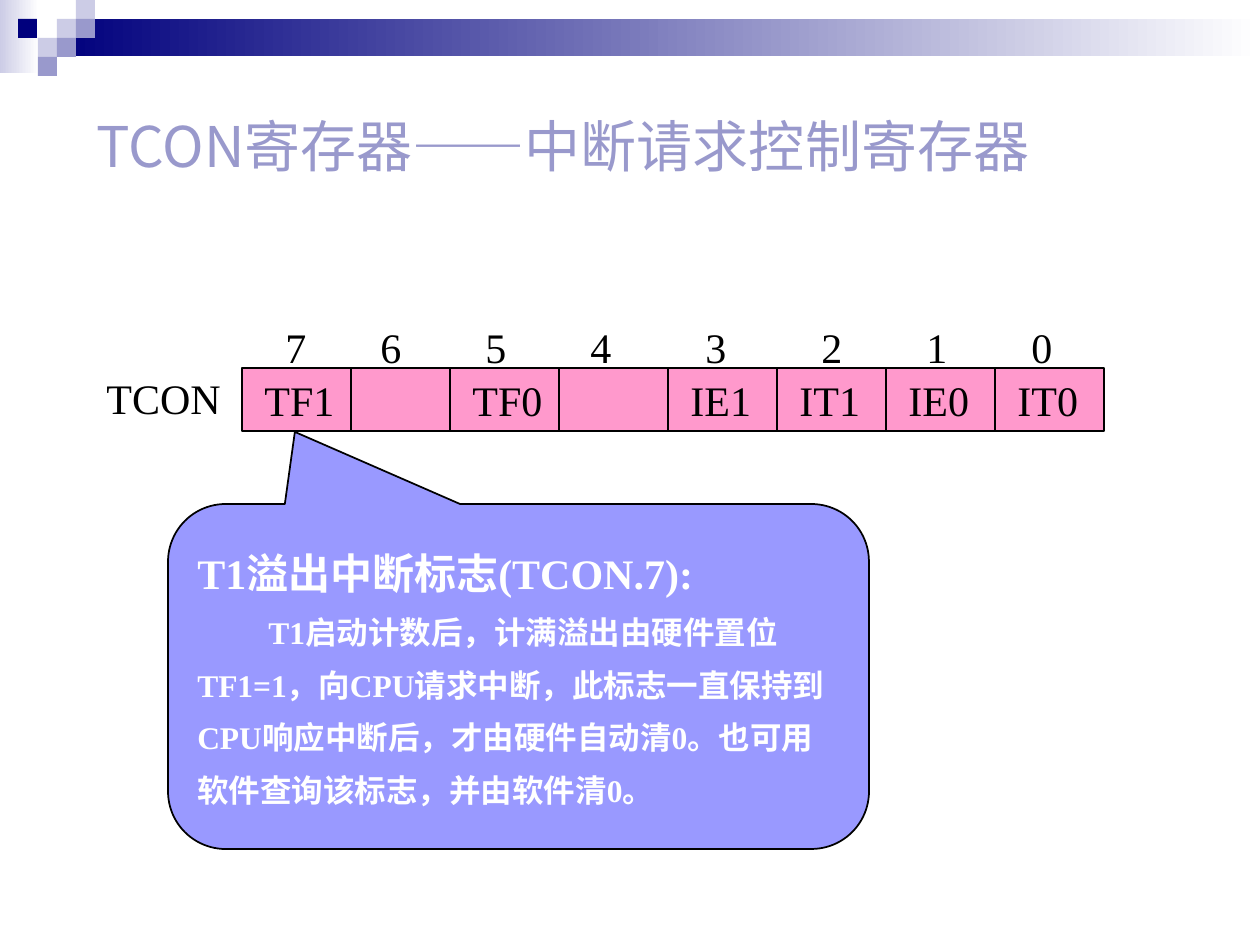
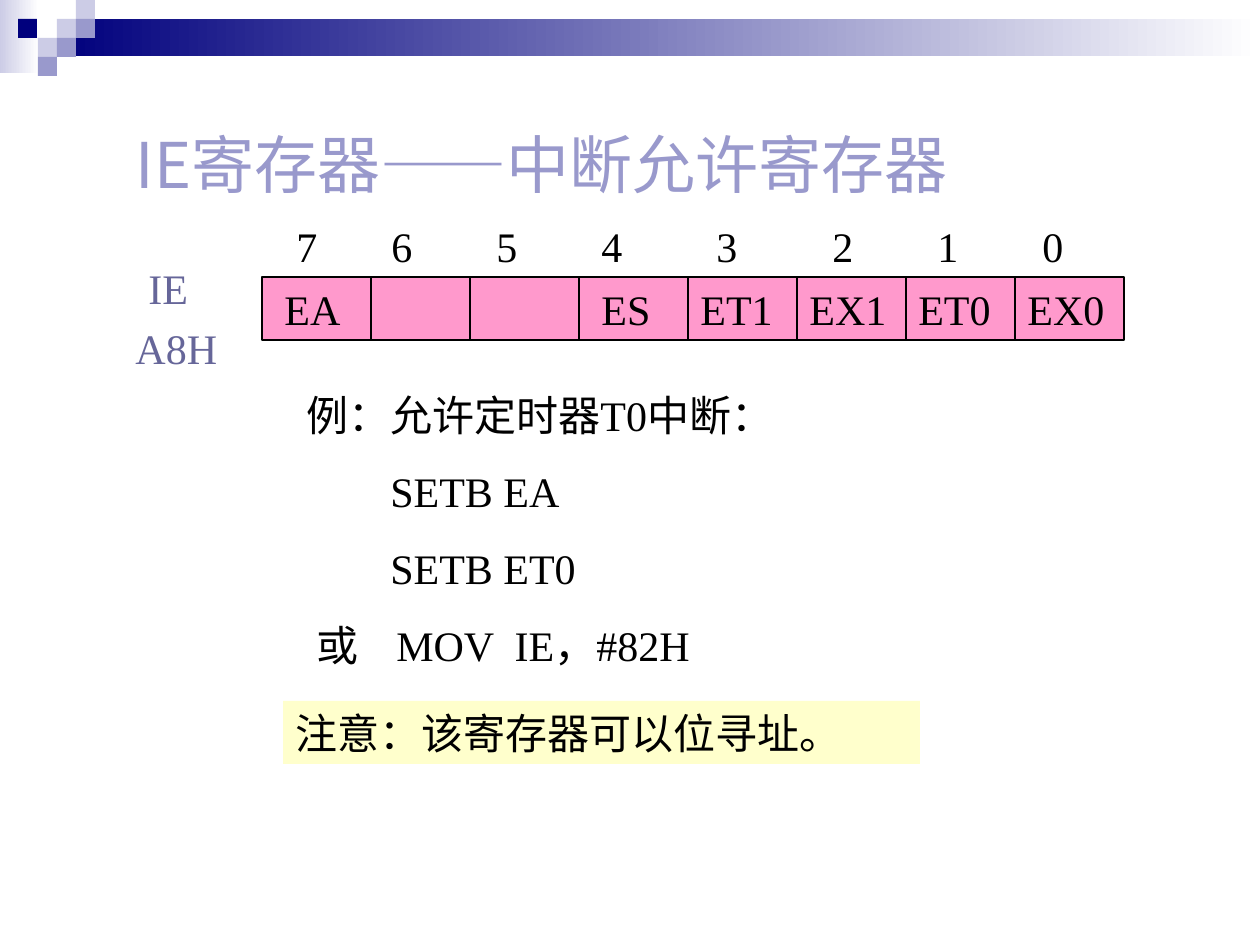
from pptx import Presentation
from pptx.dml.color import RGBColor
from pptx.enum.shapes import MSO_SHAPE
from pptx.enum.text import MSO_ANCHOR, MSO_AUTO_SIZE, PP_ALIGN
from pptx.util import Emu, Pt
from lxml.etree import SubElement

SCALE = 914400 // 126
NAMESPACE = "{http://schemas.openxmlformats.org/drawingml/2006/main}"
LATIN = "Times New Roman"
CHINESE = "Noto Sans CJK SC"
BLACK, WHITE, NAVY = "000000", "FFFFFF", "00007D"
LAVENDER, PALE, SLATE = "9999CC", "CCCCE6", "666699"
PINK, PERIWINKLE, CREAM = "FF99CC", "9999FF", "FFFFCC"
CELL_WIDTH, CELL_HEIGHT, NARROWER = 109, 63, 10
DIGIT_OFFSETS = (0, 95, 200, 305, 420, 536, 641, 746)


def px(length):
    return Emu(length * SCALE)


def colour(value):
    return RGBColor.from_string(value)


class Board:
    def __init__(self, deck):
        self.deck = deck
        self.page = None

    def new_page(self):
        self.page = self.deck.slides.add_slide(self.deck.slide_layouts[5])

    def frame(self, box, anchor=MSO_ANCHOR.TOP):
        frame = box.text_frame
        frame.word_wrap = True
        frame.auto_size = MSO_AUTO_SIZE.NONE
        frame.vertical_anchor = anchor
        frame.margin_left = frame.margin_right = Pt(7.2)
        frame.margin_top = frame.margin_bottom = Pt(3.6)
        return frame

    def span(self, para, text, size=24, ink=BLACK, bold=False, font=LATIN):
        span = para.add_run()
        span.text = text
        span.font.size = Pt(size)
        span.font.bold = bold
        span.font.name = font
        span.font.color.rgb = colour(ink)
        SubElement(span.font._element, NAMESPACE + "ea", typeface=CHINESE)

    def para(self, frame, text, first=True, margin=0, indent=0, before=0, spacing=None, **style):
        para = frame.paragraphs[0] if first else frame.add_paragraph()
        para.alignment = PP_ALIGN.LEFT
        if spacing:
            para.line_spacing = spacing
        if before:
            para.space_before = Pt(before)
        properties = para._p.get_or_add_pPr()
        properties.set("marL", str(px(margin)))
        properties.set("indent", str(px(indent)))
        self.span(para, text, **style)

    def title(self, text, left, top, width, height, size):
        box = self.page.shapes.title
        box.left, box.top, box.width, box.height = map(px, (left, top, width, height))
        frame = self.frame(box, MSO_ANCHOR.MIDDLE)
        self.para(frame, text, size=size, ink=LAVENDER, font=CHINESE)

    def text(self, left, top, width, height):
        return self.frame(self.page.shapes.add_textbox(*map(px, (left, top, width, height))))

    def shape(self, left, top, width, height, fill, line=None, kind=MSO_SHAPE.RECTANGLE):
        shape = self.page.shapes.add_shape(kind, *map(px, (left, top, width, height)))
        shape.shadow.inherit = False
        if isinstance(fill, tuple):
            shape.fill.gradient()
            shape.fill.gradient_angle = 0
            for stop, value in zip(shape.fill.gradient_stops, fill):
                stop.color.rgb = colour(value)
        else:
            shape.fill.solid()
            shape.fill.fore_color.rgb = colour(fill)
        if line:
            shape.line.color.rgb = colour(BLACK)
            shape.line.width = Pt(line)
        else:
            shape.line.fill.background()
        return shape

    def master_band(self):
        blocks = [
            (0, 0, 39, 73, (PALE, WHITE)),
            (57, 19, 1203, 37, (NAVY, WHITE)),
            (57, 19, 19, 19, PALE),
            (76, 0, 19, 19, PALE),
            (76, 19, 19, 19, LAVENDER),
            (38, 38, 19, 19, PALE),
            (18, 19, 19, 19, NAVY),
            (57, 38, 19, 19, LAVENDER),
            (38, 57, 19, 19, LAVENDER),
        ]
        tree = self.deck.slide_master.shapes.element
        for number, block in enumerate(blocks):
            element = self.shape(*block).element
            element.nvSpPr.cNvPr.set("id", str(100 + number))
            tree.insert(2 + number, element)

    def register(self, left, top, names, indents):
        for index, (name, indent) in enumerate(zip(names, indents)):
            start = left + index * CELL_WIDTH - (NARROWER if index > 1 else 0)
            width = CELL_WIDTH - (NARROWER if index == 1 else 0)
            cell = self.shape(start, top, width, CELL_HEIGHT, PINK, 0.74)
            if name:
                self.para(self.frame(cell), name, indent=indent)

    def bit_numbers(self, left, top):
        for index, offset in enumerate(DIGIT_OFFSETS):
            self.para(self.text(left + offset, top, 63, 63), str(7 - index))


deck = Presentation()
deck.slide_width, deck.slide_height = px(1260), px(945)
board = Board(deck)

board.new_page()
board.master_band()
board.title("TCON寄存器——中断请求控制寄存器", 84, 76, 1009, 139, 32)
board.register(242, 368, ("TF1", "", "TF0", "", "IE1", "IT1", "IE0", "IT0"), [10] * 8)
board.para(board.text(94, 366, 147, 63), "TCON")
callout = board.shape(168, 504, 701, 345, PERIWINKLE, 0.99, MSO_SHAPE.ROUNDED_RECTANGULAR_CALLOUT)
for index, value in enumerate((-0.319, -0.709, 0.167)):
    callout.adjustments[index] = value
frame = board.frame(callout)
board.para(frame, "T1溢出中断标志(TCON.7):", spacing=1.4, ink=WHITE, bold=True)
board.para(
    frame,
    "T1启动计数后，计满溢出由硬件置位TF1=1，向CPU请求中断，此标志一直保持到CPU响应中断后，"
    "才由硬件自动清0。也可用软件查询该标志，并由软件清0。",
    first=False, indent=71, spacing=1.4, size=18, ink=WHITE, bold=True,
)
board.bit_numbers(273, 315)

board.new_page()
board.title("IE寄存器——中断允许寄存器", 123, 84, 1040, 158, 36)
frame = board.text(105, 246, 147, 194)
board.para(frame, "IE", margin=31, spacing=1.2, ink=SLATE)
board.para(frame, "A8H", first=False, margin=18, spacing=1.2, ink=SLATE)
board.register(
    262, 277, ("EA", "", "", "ES", "ET1", "EX1", "ET0", "EX0"), [10] * 4 + [0] * 4
)
frame = board.text(294, 383, 620, 294)
board.para(frame, "例：允许定时器T0中断：")
for code in ("SETB EA", "SETB ET0"):
    board.para(frame, code, first=False, margin=84, before=15)
board.para(frame, "或\tMOV  IE，#82H", first=False, margin=90, indent=-80, before=15)
board.bit_numbers(284, 214)
note = board.shape(283, 701, 637, 63, CREAM)
board.para(board.frame(note), "注意：该寄存器可以位寻址。")

deck.save("out.pptx")
